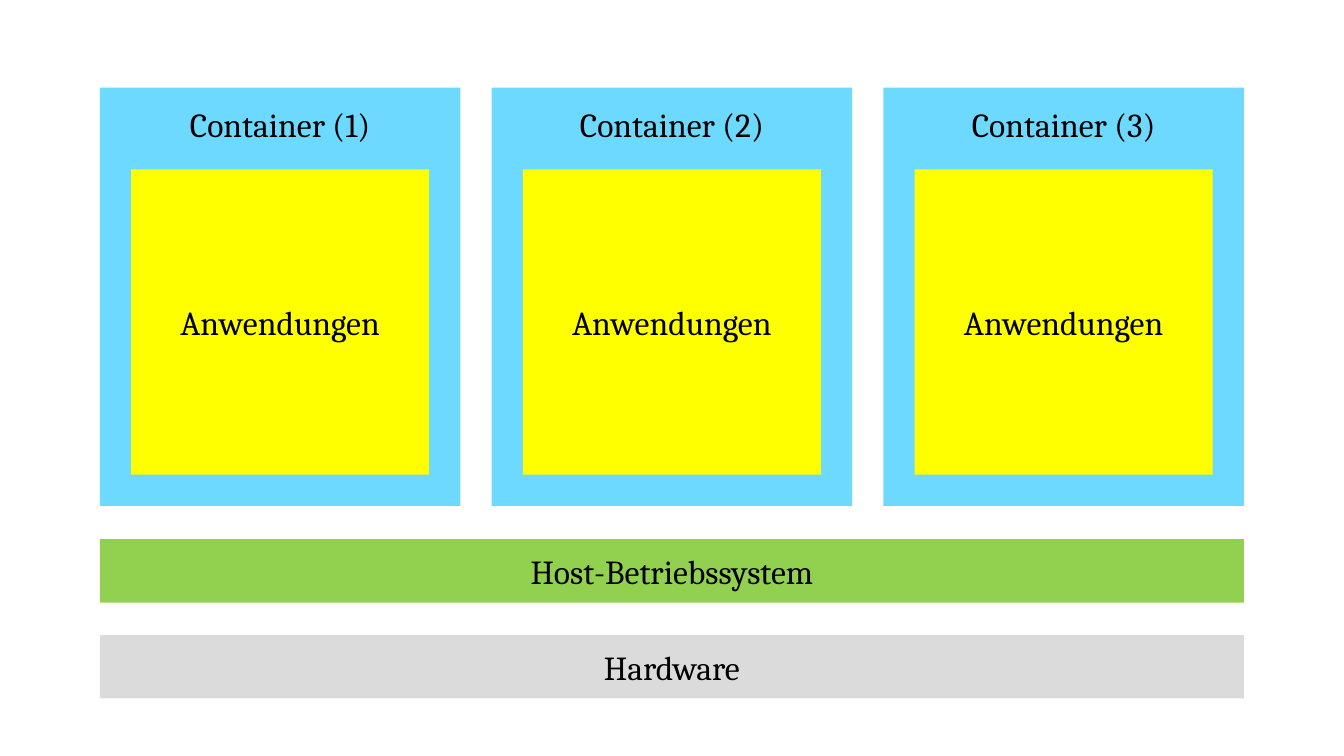
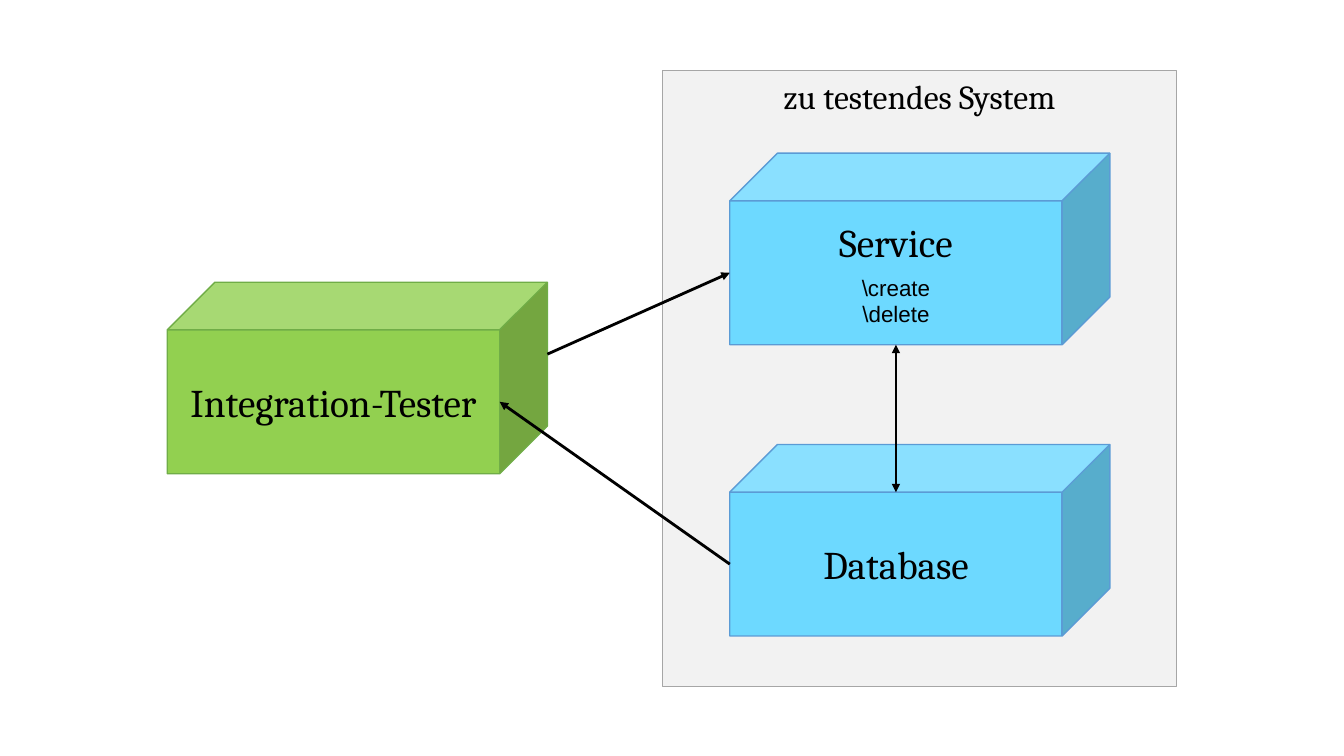
"""Two slides: a container stack and an integration test set-up."""
from lxml import etree
from pptx import Presentation
from pptx import util as u
from pptx.dml.color import RGBColor
from pptx.enum import shapes, text
from pptx.oxml.ns import qn

CELL = u.Inches(0.1)
WIDTH, HEIGHT = 133.33, 75
BLANK_LAYOUT = 6
SERIF, SANS = "Cambria", "Arial"
BLACK, BLUE, GREEN, YELLOW = "000000", "6DD9FF", "92D050", "FFFF00"
GREY, PALE, PALE_EDGE = "DBDBDB", "F2F2F2", "A6A6A6"
BLUE_EDGE, GREEN_EDGE = "5B9BD5", "70AD47"
LABEL, HEADING, DETAIL = 24, 28, 16


def cells(count):
    """Turn grid cells into a length."""
    return u.Emu(round(count * CELL))


def colour(value):
    """Turn a hex string into a colour."""
    return RGBColor.from_string(value)


class Sketch:
    """Hold the deck, its style and the current page."""

    CUBE_SIZE = (37.7, 19)
    CUBE_RATIO = 0.249

    def __init__(self):
        """Start an empty wide deck."""
        self.deck = Presentation()
        self.deck.slide_width, self.deck.slide_height = cells(WIDTH), cells(HEIGHT)
        self.page = None

    def new_page(self):
        """Add a blank page and make it current."""
        self.page = self.deck.slides.add_slide(self.deck.slide_layouts[BLANK_LAYOUT])

    def box(self, place, fill, label, edge=None, size=LABEL,
            kind=shapes.MSO_SHAPE.RECTANGLE, top_inset=None, details=()):
        """Draw a filled shape; a top inset pins its text to the top."""
        box = self.page.shapes.add_shape(kind, *map(cells, place))
        box.shadow.inherit = False
        box.fill.solid()
        box.fill.fore_color.rgb = colour(fill)
        if edge:
            box.line.color.rgb = colour(edge)
            box.line.width = u.Pt(1)
        else:
            box.line.fill.background()
        frame = box.text_frame
        frame.word_wrap = True
        frame.vertical_anchor = text.MSO_ANCHOR.MIDDLE
        if top_inset is not None:
            frame.vertical_anchor = text.MSO_ANCHOR.TOP
            frame.margin_top = cells(top_inset)
        self.set_para(frame.paragraphs[0], label, SERIF, size)
        if details:
            frame.paragraphs[0].space_after = u.Pt(6)
        for detail in details:
            self.set_para(frame.add_paragraph(), detail, SANS, DETAIL)
        return box

    def set_para(self, para, words, face, size):
        """Fill a centred black paragraph."""
        para.text = words
        para.alignment = text.PP_ALIGN.CENTER
        para.font.name = face
        para.font.size = u.Pt(size)
        para.font.color.rgb = colour(BLACK)

    def cube(self, left, top, fill, edge, label, details=()):
        """Draw a cube and return the points where arrows may touch it."""
        width, height = self.CUBE_SIZE
        box = self.box((left, top, width, height), fill, label, edge, HEADING,
                       shapes.MSO_SHAPE.CUBE, details=details)
        box.adjustments[0] = self.CUBE_RATIO
        depth = height * self.CUBE_RATIO
        front_right, front_top = left + width - depth, top + depth
        front_centre = (left + front_right) / 2
        front_middle = front_top + (height - depth) / 2
        return {
            "left": (left, front_middle),
            "front top": (front_centre, front_top),
            "front right": (front_right, front_middle),
            "right": (left + width, top + (height - depth) / 2),
            "bottom": (front_centre, top + height),
        }

    def arrow(self, start, end, both_ends=False):
        """Draw a straight arrow between two points."""
        arrow = self.page.shapes.add_connector(
            shapes.MSO_CONNECTOR.STRAIGHT, *map(cells, start + end))
        arrow.line.color.rgb = colour(BLACK)
        arrow.line.width = u.Pt(2)
        properties = arrow._element.spPr
        line = properties.find(qn("a:ln"))
        for tag in ("a:headEnd", "a:tailEnd") if both_ends else ("a:tailEnd",):
            etree.SubElement(line, qn(tag), type="triangle")
        etree.SubElement(properties, qn("a:effectLst"))


def draw_containers(sketch):
    """Draw three containers on a shared host and its hardware."""
    sketch.new_page()
    left, width, gap, count = 9.9, 113.5, 3.1, 3
    top, height, header, bar = 8.7, 41.5, 8.1, 6.3
    column = (width - gap * (count - 1)) / count
    for fill, label, bar_top in ((GREY, "Hardware", 63),
                                 (GREEN, "Host-Betriebssystem", 53.5)):
        sketch.box((left, bar_top, width, bar), fill, label)
    for index in range(count):
        x = left + index * (column + gap)
        sketch.box((x, top, column, height), BLUE, f"Container ({index + 1})",
                   top_inset=1.6)
        sketch.box((x + gap, top + header, column - 2 * gap, height - header - gap),
                   YELLOW, "Anwendungen")


def draw_integration_test(sketch):
    """Draw the tester beside the system under test."""
    sketch.new_page()
    tester = sketch.cube(16.6, 28, GREEN, GREEN_EDGE, "Integration-Tester")
    sketch.box((65.7, 7, 51, 61.1), PALE, "zu testendes System", PALE_EDGE,
               top_inset=0.5)
    system_left = 72.4
    database = sketch.cube(system_left, 44.1, BLUE, BLUE_EDGE, "Database")
    service = sketch.cube(system_left, 15.2, BLUE, BLUE_EDGE, "Service",
                          ("\\create", "\\delete"))
    sketch.arrow(service["bottom"], database["front top"], both_ends=True)
    sketch.arrow(tester["right"], service["left"])
    sketch.arrow(database["left"], tester["front right"])


def main():
    """Build and save the deck."""
    sketch = Sketch()
    draw_containers(sketch)
    draw_integration_test(sketch)
    sketch.deck.save("out.pptx")


if __name__ == "__main__":
    main()
